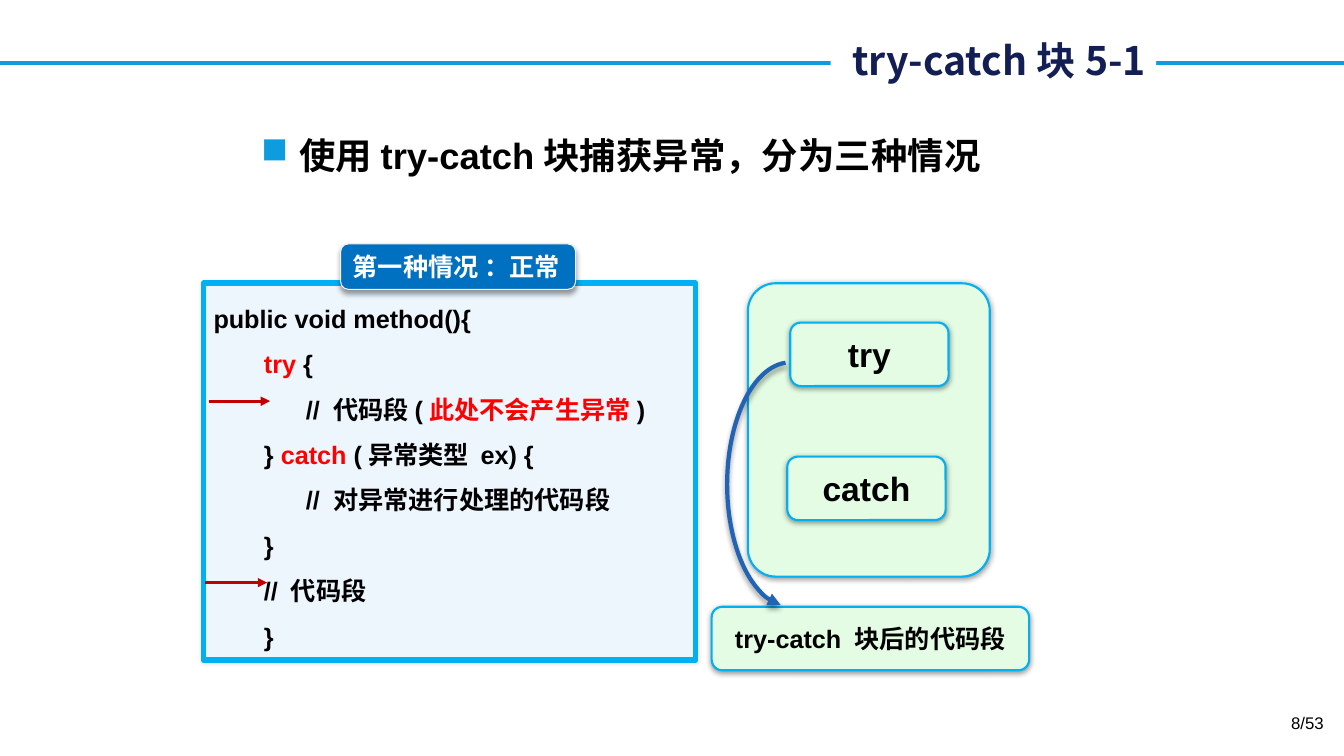
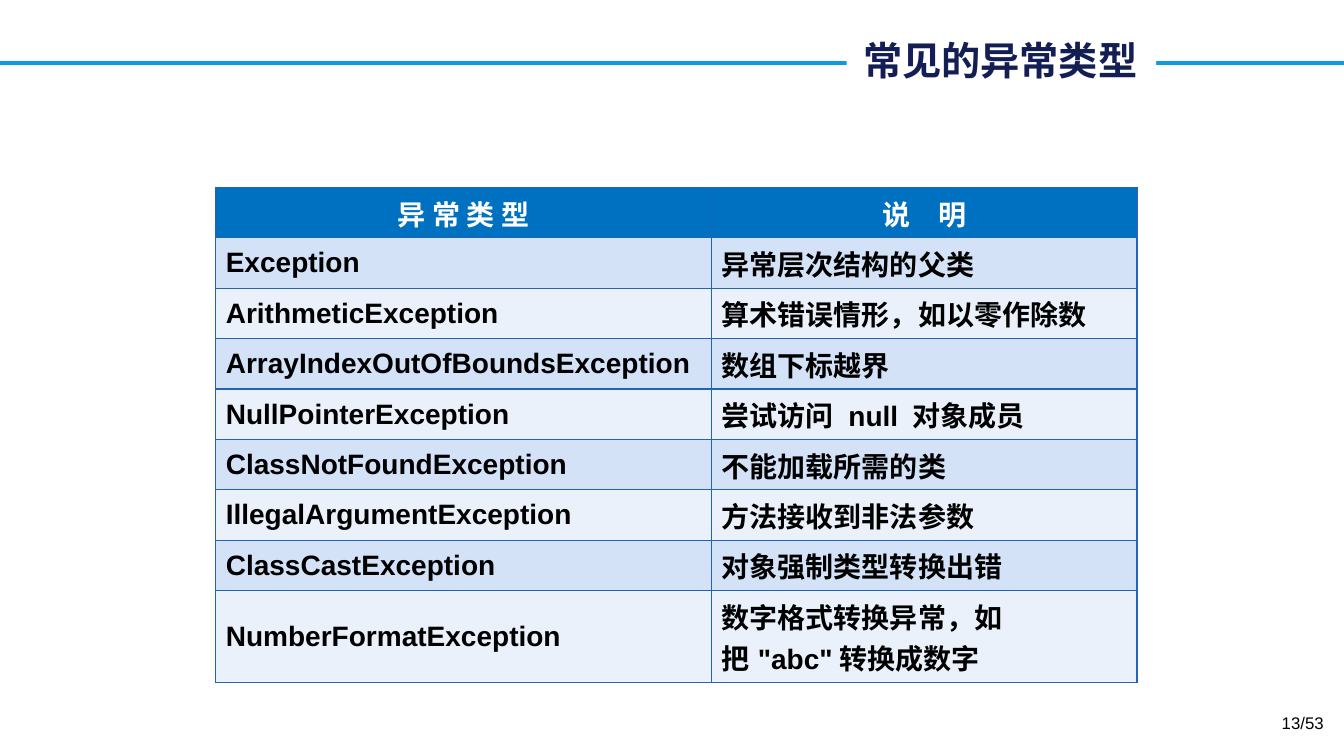
import dataclasses
import typing

import pptx
import pptx.dml.color
import pptx.enum.shapes
import pptx.enum.text
import pptx.oxml
import pptx.oxml.ns
import pptx.util

Pt = pptx.util.Pt
SHAPE = pptx.enum.shapes.MSO_SHAPE
ALIGN = pptx.enum.text.PP_ALIGN
ANCHOR = pptx.enum.text.MSO_ANCHOR

# Slide size and a grid of 100 columns by 100 rows
WIDTH, HEIGHT = pptx.util.Inches(13.33), pptx.util.Inches(7.5)
COL, ROW = WIDTH / 100, HEIGHT / 100

HUES = {
    "rule": "0E9CDE", "title": "121E54", "white": "FFFFFF", "black": "000000",
    "red": "FF0000", "arrow": "C00000", "blue": "0070C0", "edge": "00B0F0",
    "mint": "E4FCE4", "panel": "EDF5FD", "pale": "F2F2F2", "curve": "2163B4",
    "band": "D3E2F7", "light": "EAF1FB",
}
LATIN, HAN = "Arial", "Noto Sans CJK SC"


class Area(typing.NamedTuple):
    """Left, top, width and height in grid columns and rows."""
    left: float
    top: float
    width: float
    height: float

    def size(self) -> tuple[int, ...]:
        units = (COL, ROW, COL, ROW)
        return tuple(round(part * unit) for part, unit in zip(self, units))


class Shade(typing.NamedTuple):
    """Opacity in percent, blur and distance in points, angle in degrees."""
    alpha: int
    blur: float
    gap: float
    angle: int


SOFT, DEEP, FAINT = Shade(40, 4, 1, 90), Shade(40, 4, 3, 90), Shade(10, 3, 0, 0)


@dataclasses.dataclass
class Box:
    area: Area
    text: str = ""
    size: float = 24
    fill: str = "mint"
    edge: str = "edge"
    weight: float = 1.5
    round: float = 0.167
    ink: str = "black"
    align: typing.Any = ALIGN.CENTER
    shade: Shade = SOFT
    wrap: bool = True


class Arrow(typing.NamedTuple):
    start: float
    end: float
    row: float


# Slide content
BOXES = [
    Box(Area(55.65, 37.47, 18, 38.8), round=0.115),
    Box(Area(58.8, 42.67, 11.78, 8.4), "try"),
    Box(Area(58.58, 60.4, 11.78, 8.4), "catch"),
    Box(Area(52.95, 80.27, 23.62, 8.4), "try-catch 块后的代码段", size=18),
]
PANEL = Box(Area(15.15, 37.47, 36.6, 49.87), fill="panel", weight=4, round=0,
            shade=FAINT)
BADGE = Box(Area(25.35, 32.27, 17.48, 6), "第一种情况 ：正常", size=18,
            fill="blue", edge="pale", weight=0.75, ink="white",
            align=ALIGN.LEFT, shade=DEEP, wrap=False)
ARROWS = [Arrow(15.53, 20.1, 53.07), Arrow(15.23, 19.88, 77.07)]
CODE = [
    [("public void method(){", "black")],
    [("try", "red"), (" {", "black")],
    [("      // 代码段(", "black"), ("此处不会产生异常", "red"), (")", "black")],
    [("} ", "black"), ("catch ", "red"), ("(异常类型 ex) {", "black")],
    [("      // 对异常进行处理的代码段", "black")],
    [("}", "black")],
    [("// 代码段", "black")],
    [("}", "black")],
]
TABLE = [
    ("异 常 类 型", "说　明"),
    ("Exception", "异常层次结构的父类"),
    ("ArithmeticException", "算术错误情形，如以零作除数"),
    ("ArrayIndexOutOfBoundsException", "数组下标越界"),
    ("NullPointerException", "尝试访问 null 对象成员"),
    ("ClassNotFoundException", "不能加载所需的类"),
    ("IllegalArgumentException", "方法接收到非法参数"),
    ("ClassCastException", "对象强制类型转换出错"),
    ("NumberFormatException", '数字格式转换异常，如把"abc"转换成数字'),
]


def hue(name: str) -> pptx.dml.color.RGBColor:
    return pptx.dml.color.RGBColor.from_string(HUES[name])


def add_xml(node, tag: str, body: str = "", **attrs):
    """Append one drawing element, with its inner XML, to a node."""
    marks = "".join(f' {key}="{val}"' for key, val in attrs.items())
    space = pptx.oxml.ns.nsdecls("a")
    child = pptx.oxml.parse_xml(f"<a:{tag} {space}{marks}>{body}</a:{tag}>")
    node.append(child)
    return child


def write(para, text: str, *, size: float = 18, ink: str = "black",
          font: str = LATIN, bold: bool = True, align=ALIGN.LEFT) -> None:
    """Add a formatted run to a paragraph."""
    para.alignment = align
    run = para.add_run()
    run.text = text
    run.font.size, run.font.bold, run.font.name = Pt(size), bold, font
    run.font.color.rgb = hue(ink)
    add_xml(run.font._element, "ea", typeface=HAN)


def cast(shape, shade: Shade) -> None:
    shape.shadow.inherit = False
    effects = shape._element.spPr.find(pptx.oxml.ns.qn("a:effectLst"))
    tint = (f'<a:srgbClr val="{HUES["black"]}">'
            f'<a:alpha val="{shade.alpha * 1000}"/></a:srgbClr>')
    add_xml(effects, "outerShdw", tint, blurRad=Pt(shade.blur),
            dist=Pt(shade.gap), dir=shade.angle * 60000, rotWithShape=0)


def line(slide, start: float, end: float, row: float, ink: str,
         head: bool = False) -> None:
    """Draw a level line between two columns."""
    kind = pptx.enum.shapes.MSO_CONNECTOR.STRAIGHT
    level = round(row * ROW)
    rule = slide.shapes.add_connector(
        kind, round(start * COL), level, round(end * COL), level)
    rule.line.color.rgb, rule.line.width = hue(ink), Pt(2.25)
    if head:
        add_xml(rule.line._get_or_add_ln(), "tailEnd", type="triangle")
    add_xml(rule._element.spPr, "effectLst")


def label(slide, area: Area):
    """Add an empty wrapping text box and return its first paragraph."""
    frame = slide.shapes.add_textbox(*area.size()).text_frame
    frame.word_wrap = True
    return frame.paragraphs[0]


def draw(slide, box: Box):
    shape = slide.shapes.add_shape(SHAPE.ROUNDED_RECTANGLE, *box.area.size())
    shape.adjustments[0] = box.round
    shape.fill.solid()
    shape.fill.fore_color.rgb = hue(box.fill)
    shape.line.color.rgb, shape.line.width = hue(box.edge), Pt(box.weight)
    cast(shape, box.shade)
    frame = shape.text_frame
    frame.word_wrap, frame.vertical_anchor = box.wrap, ANCHOR.MIDDLE
    if box.text:
        write(frame.paragraphs[0], box.text, size=box.size, ink=box.ink,
              align=box.align)
    return shape


def start(deck, title: str, left: float, page: str):
    """Add a slide with the shared rule, title and page number."""
    slide = deck.slides.add_slide(deck.slide_layouts[6])
    line(slide, 0, 100, 8.33, "rule")
    area = Area(left, 4.13, 86.02 - left, 7.6)
    plate = slide.shapes.add_shape(SHAPE.RECTANGLE, *area.size())
    plate.shadow.inherit = False
    plate.fill.solid()
    plate.fill.fore_color.rgb = hue("white")
    plate.line.fill.background()
    plate.text_frame.vertical_anchor = ANCHOR.MIDDLE
    write(plate.text_frame.paragraphs[0], title, size=28, ink="title",
          font=HAN, align=ALIGN.RIGHT)
    write(label(slide, Area(75.9, 93.6, 23.33, 5.33)), page, size=12,
          bold=False, align=ALIGN.RIGHT)
    return slide


def list_code(shape) -> None:
    frame = shape.text_frame
    frame.vertical_anchor = ANCHOR.TOP
    for num, parts in enumerate(CODE):
        para = frame.add_paragraph() if num else frame.paragraphs[0]
        para.line_spacing = Pt(32.4)
        if num:
            para._p.get_or_add_pPr().set("marL", str(Pt(36)))
        for text, ink in parts:
            write(para, text, ink=ink)


def bend(slide) -> None:
    """Draw the curved arrow from try to the code after the block."""
    arc = slide.shapes.add_shape(
        SHAPE.ARC, *Area(49.72, 55.73, 18.15, 16.67).size())
    arc.adjustments[0], arc.adjustments[1] = 109.3, 213.25
    arc.rotation = 90
    arc._element.spPr.xfrm.set("flipV", "1")
    arc.fill.background()
    arc.line.color.rgb, arc.line.width = hue("curve"), Pt(3)
    add_xml(arc.line._get_or_add_ln(), "tailEnd", type="triangle")
    cast(arc, DEEP)


def fill_cell(cell, text: str, row: int) -> None:
    props = cell._tc.get_or_add_tcPr()
    paint = f'<a:solidFill><a:srgbClr val="{HUES["curve"]}"/></a:solidFill>'
    for side in "LRTB":
        add_xml(props, f"ln{side}", paint, w=Pt(1))
    cell.fill.solid()
    head = row == 0
    cell.fill.fore_color.rgb = hue(
        "blue" if head else "band" if row % 2 else "light")
    cell.vertical_anchor = ANCHOR.TOP if head else ANCHOR.MIDDLE
    write(cell.text_frame.paragraphs[0], text, size=20,
          ink="white" if head else "black", font=HAN if head else LATIN,
          align=ALIGN.CENTER if head else ALIGN.LEFT)


def show_case(deck) -> None:
    slide = start(deck, "try-catch块5-1", 61.8, "8/53")
    # Bulleted lead
    lead = label(slide, Area(18.7, 16.9, 62.7, 9))
    props = lead._p.get_or_add_pPr()
    props.set("marL", str(Pt(27)))
    props.set("indent", str(-Pt(27)))
    add_xml(props, "buClr", f'<a:srgbClr val="{HUES["rule"]}"/>')
    add_xml(props, "buChar", char="■")
    write(lead, "使用try-catch块捕获异常，分为三种情况", size=26)
    # Flow and code
    for box in BOXES:
        draw(slide, box)
    list_code(draw(slide, PANEL))
    for arrow in ARROWS:
        line(slide, *arrow, "arrow", head=True)
    draw(slide, BADGE)
    bend(slide)


def show_types(deck) -> None:
    slide = start(deck, "常见的异常类型 ", 63, "13/53")
    widths = (36.9, 31.65)
    heights = [6.67] * (len(TABLE) - 1) + [12.1]
    area = Area(16.05, 24.8, sum(widths), sum(heights))
    grid = slide.shapes.add_table(len(TABLE), len(widths), *area.size()).table
    grid.horz_banding = False
    for col, width in zip(grid.columns, widths):
        col.width = round(width * COL)
    for num, (height, texts) in enumerate(zip(heights, TABLE)):
        grid.rows[num].height = round(height * ROW)
        for col, text in enumerate(texts):
            fill_cell(grid.cell(num, col), text, num)


def main() -> None:
    deck = pptx.Presentation()
    deck.slide_width, deck.slide_height = WIDTH, HEIGHT
    show_case(deck)
    show_types(deck)
    deck.save("out.pptx")


if __name__ == "__main__":
    main()
